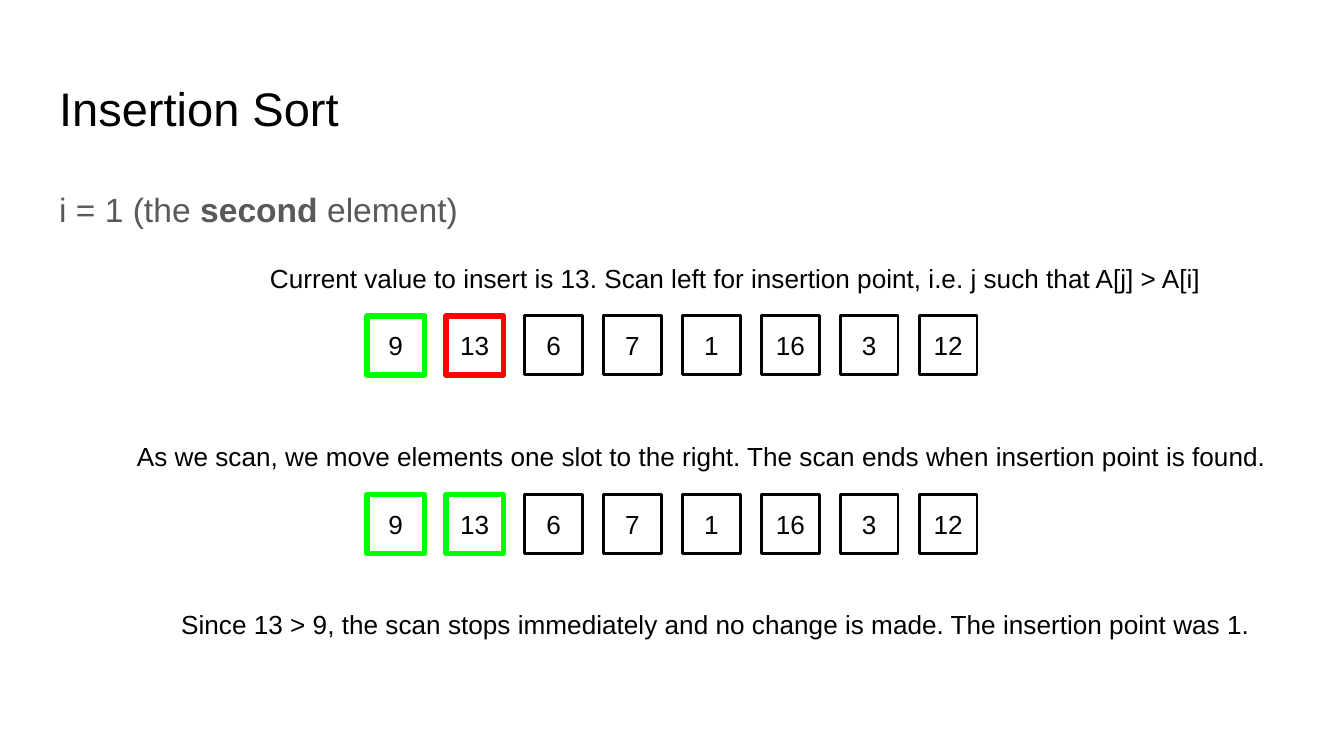
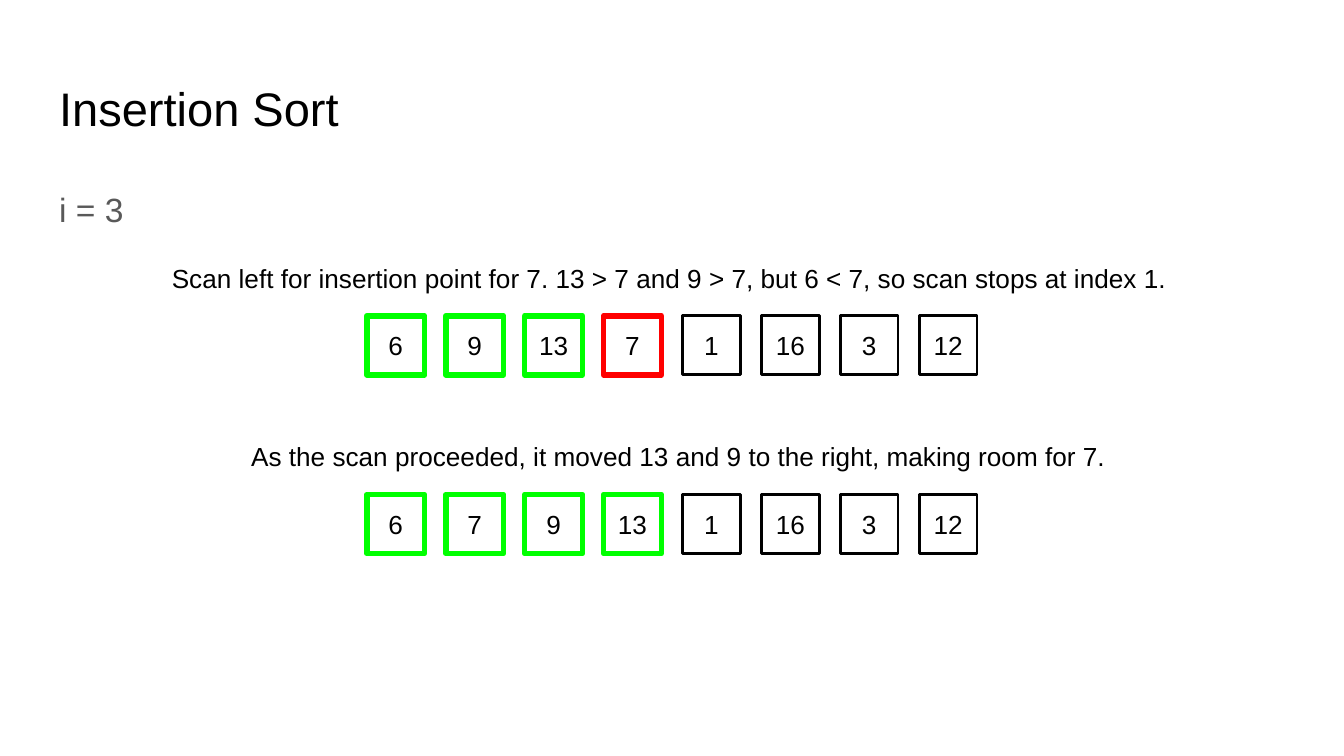
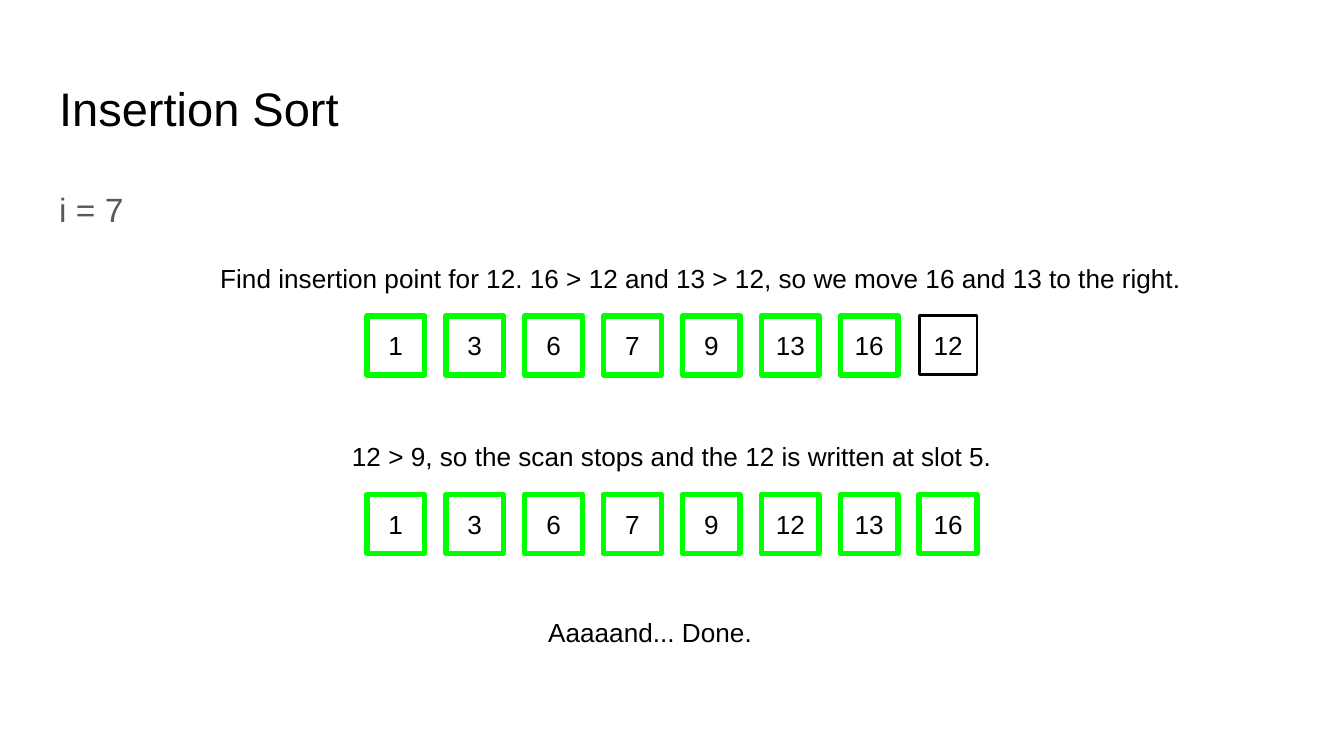
from typing import NamedTuple

from lxml import etree
from pptx import Presentation
from pptx import util as u
from pptx.dml.color import RGBColor
from pptx.enum import shapes, text
from pptx.oxml import ns

COLORS = {"black": "000000", "gray": "595959", "sorted": "00FF00", "current": "FF0000"}
FONT = "Arial"
TITLE = "Insertion Sort"

# 16:9 page
SLIDE_W = u.Inches(10)
SLIDE_H = u.Inches(10 * 9 / 16)

# Array grid, in inches
CELL_W, CELL_H = 0.43, 0.44
FIRST_X, LAST_X, CELL_COUNT = 2.73, 6.84, 8
PITCH = (LAST_X - FIRST_X) / (CELL_COUNT - 1)
CAPTION_TOPS = (1.85, 3.18)
ROW_TOPS = (2.35, 3.68)


class Caption(NamedTuple):
    words: str
    left: float
    width: float


class Row(NamedTuple):
    caption: Caption
    values: list[int]
    sorted_count: int
    current: int | None = None


class Step(NamedTuple):
    heading: list[tuple[str, bool]]
    rows: list[Row]
    closing: Caption | None = None
    closing_top: float = 0


STEPS = [
    Step(
        [("i = 1 (the ", False), ("second", True), (" element)", False)],
        [
            Row(Caption("Current value to insert is 13. Scan left for insertion point, "
                        "i.e. j such that A[j] > A[i]", 1.91, 7.42),
                [9, 13, 6, 7, 1, 16, 3, 12], 1, 1),
            Row(Caption("As we scan, we move elements one slot to the right. "
                        "The scan ends when insertion point is found.", 0.92, 8.89),
                [9, 13, 6, 7, 1, 16, 3, 12], 2),
        ],
        Caption("Since 13 > 9, the scan stops immediately and no change is made. "
                "The insertion point was 1.", 1.25, 8.23),
        4.43,
    ),
    Step(
        [("i = 3", False)],
        [
            Row(Caption("Scan left for insertion point for 7. 13 > 7 and 9 > 7, "
                        "but 6 < 7, so scan stops at index 1.", 1.18, 7.79),
                [6, 9, 13, 7, 1, 16, 3, 12], 3, 3),
            Row(Caption("As the scan proceeded, it moved 13 and 9 to the right, "
                        "making room for 7.", 1.77, 6.65),
                [6, 7, 9, 13, 1, 16, 3, 12], 4),
        ],
    ),
    Step(
        [("i = 7", False)],
        [
            Row(Caption("Find insertion point for 12. 16 > 12 and 13 > 12, "
                        "so we move 16 and 13 to the right.", 1.54, 7.71),
                [1, 3, 6, 7, 9, 13, 16, 12], 7),
            Row(Caption("12 > 9, so the scan stops and the 12 is written at slot 5.",
                        2.52, 6.65),
                [1, 3, 6, 7, 9, 12, 13, 16], 8),
        ],
        Caption("Aaaaand... Done.", 3.98, 2.62),
        4.49,
    ),
]


def box(left: float, top: float, width: float, height: float) -> list[u.Length]:
    return [u.Inches(v) for v in (left, top, width, height)]


def set_all(target, **values) -> None:
    for name, value in values.items():
        setattr(target, name, value)


def write(sp, runs: list[tuple[str, bool]], size: float, color: str = "black",
          align=text.PP_ALIGN.LEFT, anchor=text.MSO_ANCHOR.TOP,
          fit=text.MSO_AUTO_SIZE.SHAPE_TO_FIT_TEXT):
    """Fill a shape with one formatted paragraph and return it."""
    tf = sp.text_frame
    margins = {f"margin_{side}": u.Inches(0.1) for side in ("left", "top", "right", "bottom")}
    set_all(tf, word_wrap=True, auto_size=fit, vertical_anchor=anchor, **margins)
    p = tf.paragraphs[0]
    p.alignment = align
    for words, bold in runs:
        r = p.add_run()
        r.text = words
        set_all(r.font, name=FONT, size=u.Pt(size), bold=bold)
        r.font.color.rgb = RGBColor.from_string(COLORS[color])
    return p


def place(sp, bounds: list[u.Length]) -> None:
    set_all(sp, **dict(zip(("left", "top", "width", "height"), bounds)))


def add_header(s, heading: list[tuple[str, bool]]) -> None:
    title, body = s.shapes.title, s.placeholders[1]
    place(title, box(0.34, 0.49, 9.32, 0.63))
    write(title, [(TITLE, False)], 25.2, anchor=text.MSO_ANCHOR.MIDDLE,
          fit=text.MSO_AUTO_SIZE.NONE)
    place(body, box(0.34, 1.26, 9.32, 3.74))
    p = write(body, heading, 18, "gray", fit=text.MSO_AUTO_SIZE.NONE)
    set_all(p, line_spacing=1.15, space_before=u.Pt(0), space_after=u.Pt(12))
    # The heading line carries no bullet or indent
    pPr = p._p.get_or_add_pPr()
    pPr.set("marL", "0")
    pPr.set("indent", "0")
    etree.SubElement(pPr, ns.qn("a:buNone"))


def add_caption(s, caption: Caption, top: float) -> None:
    sp = s.shapes.add_textbox(*box(caption.left, top, caption.width, CELL_H))
    write(sp, [(caption.words, False)], 14)


def add_row(s, row: Row, top: float) -> None:
    for i, value in enumerate(row.values):
        sp = s.shapes.add_shape(shapes.MSO_SHAPE.RECTANGLE,
                                *box(FIRST_X + i * PITCH, top, CELL_W, CELL_H))
        sp.shadow.inherit = False
        sp.fill.background()
        state = ("current" if i == row.current
                 else "sorted" if i < row.sorted_count else "black")
        sp.line.color.rgb = RGBColor.from_string(COLORS[state])
        sp.line.width = u.Pt(1.5 if state == "black" else 3)
        write(sp, [(str(value), False)], 14, align=text.PP_ALIGN.CENTER,
              anchor=text.MSO_ANCHOR.MIDDLE)


def main() -> None:
    prs = Presentation()
    prs.slide_width = SLIDE_W
    prs.slide_height = SLIDE_H
    for step in STEPS:
        s = prs.slides.add_slide(prs.slide_layouts[1])
        add_header(s, step.heading)
        for row, caption_top, row_top in zip(step.rows, CAPTION_TOPS, ROW_TOPS):
            add_caption(s, row.caption, caption_top)
            add_row(s, row, row_top)
        if step.closing:
            add_caption(s, step.closing, step.closing_top)
    prs.save("out.pptx")


if __name__ == "__main__":
    main()
